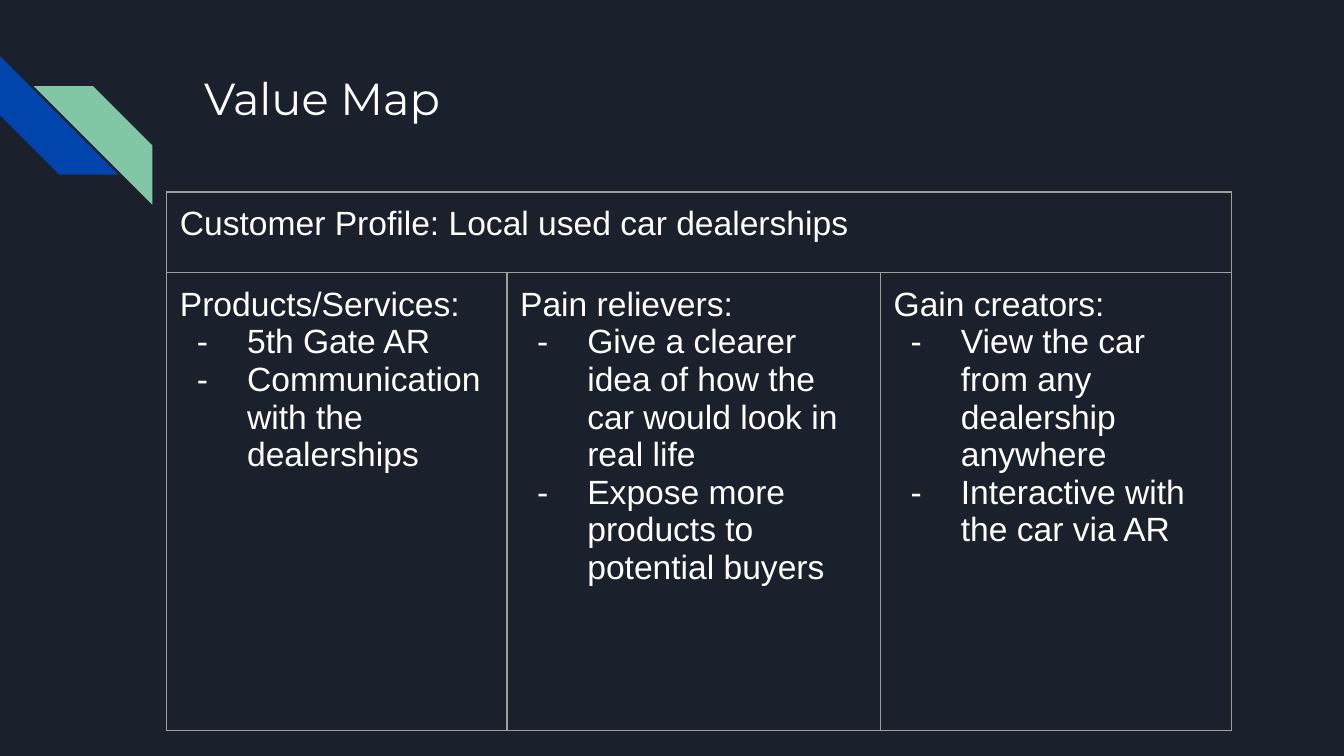
"""Build the Value Map slide."""
from dataclasses import dataclass

from lxml import etree
from pptx import Presentation
from pptx.dml.color import RGBColor
from pptx.enum.shapes import MSO_SHAPE
from pptx.enum.text import MSO_ANCHOR, PP_ALIGN
from pptx.oxml.ns import qn
from pptx.util import Cm, Pt

STRIPE = MSO_SHAPE.DIAGONAL_STRIPE
TOP = MSO_ANCHOR.TOP
LEFT = PP_ALIGN.LEFT


@dataclass(frozen=True)
class Theme:
    background: str = "1B212C"
    text: str = "FFFFFF"
    border: str = "9E9E9E"
    blue: str = "0145AC"
    green: str = "82C7A5"
    title_font: str = "Montserrat"
    body_font: str = "Arial"
    title_size: int = 24
    body_size: int = 18
    border_width: float = 0.75


THEME = Theme()
INSET = Cm(0.25)
BULLET_INDENT, BULLET_HANG = Cm(1.27), Cm(0.95)
COLUMN_WIDTHS = (6.43, 7.06, 6.63)
ROW_HEIGHTS = (1.52, 8.66)
PROFILE = "Customer Profile: Local used car dealerships"
VALUES = {
    "Products/Services:": ["5th Gate AR", "Communication with the dealerships"],
    "Pain relievers:": [
        "Give a clearer idea of how the car would look in real life",
        "Expose more products to potential buyers",
    ],
    "Gain creators:": [
        "View the car from any dealership anywhere",
        "Interactive with the car via AR",
    ],
}


def write(p, text, *, font=THEME.body_font, size=THEME.body_size, color=THEME.text, bullet=None):
    p.alignment = LEFT
    r = p.add_run()
    r.text = text
    r.font.name = font
    r.font.size = Pt(size)
    r.font.bold = False
    r.font.color.rgb = RGBColor.from_string(color)
    if bullet:
        pPr = p._p.get_or_add_pPr()
        pPr.set("marL", str(BULLET_INDENT))
        pPr.set("indent", str(-BULLET_HANG))
        bu_color = etree.SubElement(pPr, qn("a:buClr"))
        etree.SubElement(bu_color, qn("a:srgbClr"), val=color)
        etree.SubElement(pPr, qn("a:buFont"), typeface=font)
        etree.SubElement(pPr, qn("a:buChar"), char=bullet)


def set_insets(frame):
    frame.margin_left = frame.margin_right = INSET
    frame.margin_top = frame.margin_bottom = INSET
    frame.vertical_anchor = TOP


def add_stripe(s, left, top, rotation, color):
    sp = s.shapes.add_shape(STRIPE, Cm(left), Cm(top), Cm(2.24), Cm(2.24))
    sp.rotation = rotation
    sp.shadow.inherit = False
    sp.fill.solid()
    sp.fill.fore_color.rgb = RGBColor.from_string(color)
    sp.line.fill.background()


def add_title(s, text):
    tf = s.shapes.add_textbox(Cm(3.61), Cm(1.09), Cm(19.56), Cm(2.54)).text_frame
    tf.word_wrap = True
    set_insets(tf)
    write(tf.paragraphs[0], text, font=THEME.title_font, size=THEME.title_size)


def set_borders(cell):
    tcPr = cell._tc.get_or_add_tcPr()
    for i, side in enumerate(("lnL", "lnR", "lnT", "lnB")):
        ln = etree.Element(qn(f"a:{side}"), w=str(Pt(THEME.border_width)))
        fill = etree.SubElement(ln, qn("a:solidFill"))
        etree.SubElement(fill, qn("a:srgbClr"), val=THEME.border)
        tcPr.insert(i, ln)


def fill_cell(cell, heading, items=()):
    tf = cell.text_frame
    write(tf.paragraphs[0], heading)
    for item in items:
        write(tf.add_paragraph(), item, bullet="-")


def add_value_table(s):
    table = s.shapes.add_table(
        len(ROW_HEIGHTS), len(COLUMN_WIDTHS), Cm(3.15), Cm(3.63),
        Cm(sum(COLUMN_WIDTHS)), Cm(sum(ROW_HEIGHTS)),
    ).table
    table.first_row = table.horz_banding = False
    for column, width in zip(table.columns, COLUMN_WIDTHS):
        column.width = Cm(width)
    for row, height in zip(table.rows, ROW_HEIGHTS):
        row.height = Cm(height)
    for cell in table.iter_cells():
        set_insets(cell)
        cell.fill.background()
        set_borders(cell)
    table.cell(0, 0).merge(table.cell(0, len(COLUMN_WIDTHS) - 1))
    fill_cell(table.cell(0, 0), PROFILE)
    for i, (heading, items) in enumerate(VALUES.items()):
        fill_cell(table.cell(1, i), heading, items)


def main():
    prs = Presentation()
    prs.slide_width, prs.slide_height = Cm(25.4), Cm(14.29)
    s = prs.slides.add_slide(prs.slide_layouts[6])
    s.background.fill.solid()
    s.background.fill.fore_color.rgb = RGBColor.from_string(THEME.background)
    add_stripe(s, 0, 1.06, 270, THEME.blue)
    add_stripe(s, 0.64, 1.63, 90, THEME.green)
    add_title(s, "Value Map")
    add_value_table(s)
    prs.save("out.pptx")


main()
